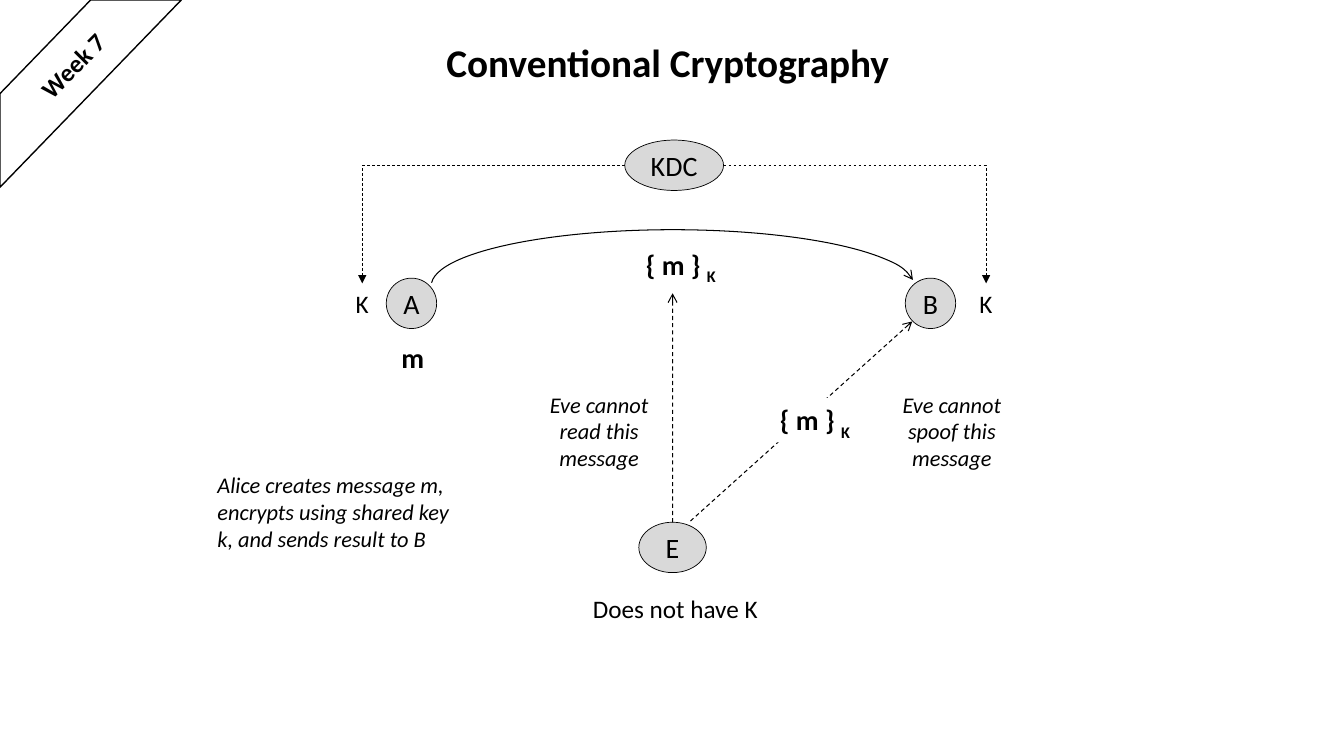
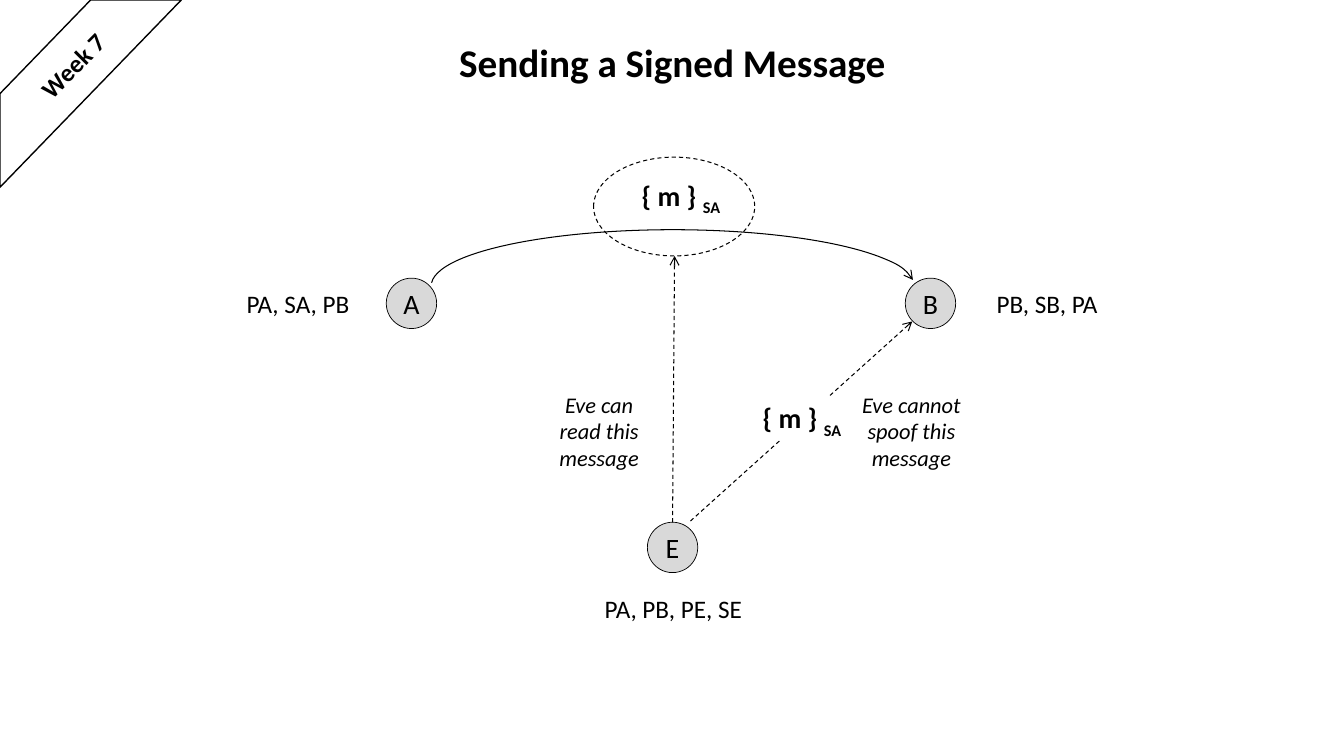
import pptx
import pptx.dml.color
import pptx.enum.dml
import pptx.enum.shapes
import pptx.enum.text
import pptx.oxml
import pptx.oxml.ns
import pptx.util

Cm, Pt = pptx.util.Cm, pptx.util.Pt
SHAPE = pptx.enum.shapes.MSO_SHAPE
CONNECTOR = pptx.enum.shapes.MSO_CONNECTOR
ALIGN = pptx.enum.text.PP_ALIGN
qn = pptx.oxml.ns.qn

FONT, INK, PAPER, NODE = "Calibri", "000000", "FFFFFF", "D9D9D9"
STYLES = {
    "key": dict(size=18, height=1.02),
    "tag": dict(size=18, height=1.02, bold=True),
    "cipher": dict(size=20, height=1.12, bold=True),
    "note": dict(size=16, height=2.31, italic=True),
}
ROW_Y, EVE_X, EVE_Y, NODE_H = 7.01, 16.95, 13.16, 1.27
ALICE_X, BOB_X = 10.37, 23.45
KDC_X, KDC_Y, KDC_W, KEY_REACH = 16.99, 3.53, 2.49, 7.86
KEY_Y, EVE_KEY_Y, NOTE_Y = 7.14, 14.83, 9.72

SLIDES = [
    dict(
        title="Conventional Cryptography ",
        eve_width=1.7,
        read_to=(16.95, 7.39),
        kdc=True,
        labels=[
            ("key", KDC_X - KEY_REACH, KEY_Y, 0.84, ["K"]),
            ("key", KDC_X + KEY_REACH, KEY_Y, 0.84, ["K"]),
            ("key", 17.02, EVE_KEY_Y, 4.72, ["Does not have K"]),
            ("cipher", 10.4, 8.46, 1.09, ["m"]),
            ("note", 15.1, NOTE_Y, 3.02, ["Eve cannot", "read this", "message"]),
            ("note", 23.99, NOTE_Y, 3.02, ["Eve cannot", "spoof this", "message"]),
        ],
        subscript="K",
        cipher_width=2.31,
        sent=(17.16, 6.12),
        spoofed=(20.54, 10.03),
        story=["Alice creates message m,", "encrypts using shared key",
               "k, and sends result to B"],
    ),
    dict(
        title="Sending a Signed Message",
        eve_width=1.27,
        read_to=(17, 6.45),
        ring=(16.99, 3.96, 4.06, 2.49),
        labels=[
            ("key", 7.51, KEY_Y, 3.18, ["PA, SA, PB"]),
            ("key", 26.39, KEY_Y, 3.15, ["PB, SB, PA"]),
            ("key", 16.97, EVE_KEY_Y, 4.06, ["PA, PB, PE, SE"]),
            ("note", 15.1, NOTE_Y, 2.54, ["Eve can", "read this", "message"]),
            ("note", 22.97, NOTE_Y, 3.02, ["Eve cannot", "spoof this", "message"]),
        ],
        subscript="SA",
        cipher_width=2.57,
        sent=(17.16, 4.37),
        spoofed=(20.21, 9.98),
    ),
]


def rgb(value):
    return pptx.dml.color.RGBColor.from_string(value)


def set_font(p, size, bold=False, italic=False):
    p.font.name, p.font.size = FONT, Pt(size)
    p.font.bold, p.font.italic = bold, italic
    p.font.color.rgb = rgb(INK)


def set_line(sp, width, dashed=False, tail=None):
    sp.line.color.rgb = rgb(INK)
    sp.line.width = Pt(width)
    if dashed:
        sp.line.dash_style = pptx.enum.dml.MSO_LINE.DASH
    if tail:
        end = pptx.oxml.parse_xml(f'<a:tailEnd {pptx.oxml.ns.nsdecls("a")} type="{tail}"/>')
        sp.line._get_or_add_ln().append(end)


def add_shape(s, kind, left, top, width, height, fill=None):
    sp = s.shapes.add_shape(kind, Cm(left), Cm(top), Cm(width), Cm(height))
    sp.shadow.inherit = False
    if fill:
        sp.fill.solid()
        sp.fill.fore_color.rgb = rgb(fill)
    else:
        sp.fill.background()
    return sp


def add_node(s, text, x, top, width=NODE_H):
    sp = add_shape(s, SHAPE.OVAL, x - width / 2, top, width, NODE_H, NODE)
    set_line(sp, 0.5)
    tf = sp.text_frame
    tf.margin_left = tf.margin_right = 0
    tf.word_wrap = False
    p = tf.paragraphs[0]
    p.text, p.alignment = text, ALIGN.CENTER
    set_font(p, 20)
    return sp


def add_label(s, style, x, top, width, lines, align=ALIGN.CENTER, wrap=False):
    look = dict(STYLES[style])
    height = look.pop("height")
    sp = s.shapes.add_textbox(Cm(x - width / 2), Cm(top), Cm(width), Cm(height))
    tf = sp.text_frame
    tf.word_wrap = wrap
    tf.auto_size = pptx.enum.text.MSO_AUTO_SIZE.SHAPE_TO_FIT_TEXT
    for i, line in enumerate(lines):
        p = tf.add_paragraph() if i else tf.paragraphs[0]
        p.text, p.alignment = line, align
        set_font(p, **look)
    return sp


def add_cipher(s, position, width, subscript, fill=None):
    sp = add_label(s, "cipher", *position, width, ["{ m } "])
    r = sp.text_frame.paragraphs[0].add_run()
    r.text = subscript
    r._r.get_or_add_rPr().set("baseline", "-25000")
    if fill:
        sp.fill.solid()
        sp.fill.fore_color.rgb = rgb(fill)


def add_arrow(s, start, end, width=0.75, tail="arrow", bent=False):
    kind = CONNECTOR.ELBOW if bent else CONNECTOR.STRAIGHT
    cx = s.shapes.add_connector(kind, *map(Cm, start + end))
    if bent:
        cx.element.spPr.find(qn("a:prstGeom")).set("prst", "bentConnector2")
    set_line(cx, width, True, tail)
    cx.element.spPr.append(pptx.oxml.parse_xml(f'<a:effectLst {pptx.oxml.ns.nsdecls("a")}/>'))
    return cx


def add_frame(s, title):
    sp = s.shapes.title
    sp.left, sp.top, sp.width, sp.height = Cm(5.51), Cm(0.05), Cm(22.86), Cm(3.18)
    sp.text_frame.vertical_anchor = pptx.enum.text.MSO_ANCHOR.MIDDLE
    p = sp.text_frame.paragraphs[0]
    p.text, p.alignment, p.line_spacing = title, ALIGN.CENTER, 0.9
    set_font(p, 28, bold=True)
    set_line(add_shape(s, SHAPE.DIAGONAL_STRIPE, 0, 0, 4.57, 4.72, PAPER), 1)
    add_label(s, "tag", 1.83, 1.14, 2.49, ["Week 7"]).rotation = 314.8


def add_kdc(s):
    add_node(s, "KDC", KDC_X, KDC_Y, KDC_W)
    y = KDC_Y + NODE_H / 2
    for side in (-1, 1):
        add_arrow(s, (KDC_X + side * KDC_W / 2, y), (KDC_X + side * KEY_REACH, KEY_Y),
                  0.5, "triangle", bent=True)


def build_slide(prs, content):
    s = prs.slides.add_slide(prs.slide_layouts[5])
    add_frame(s, content["title"])
    add_node(s, "A", ALICE_X, ROW_Y)
    add_node(s, "B", BOB_X, ROW_Y)
    eve = add_node(s, "E", EVE_X, EVE_Y, content["eve_width"])
    arc = add_shape(s, SHAPE.ARC, 10.87, 5.79, 12.17, 2.82)
    arc.adjustments[0], arc.adjustments[1] = 108.42, 215.18
    set_line(arc, 0.75, tail="arrow")
    if content.get("kdc"):
        add_kdc(s)
    if "ring" in content:
        x, top, width, height = content["ring"]
        set_line(add_shape(s, SHAPE.OVAL, x - width / 2, top, width, height), 0.75, True)
    add_arrow(s, (EVE_X, EVE_Y), content["read_to"]).begin_connect(eve, 0)
    add_arrow(s, (17.4, 13.13), (22.99, 8.1))
    width, subscript = content["cipher_width"], content["subscript"]
    add_cipher(s, content["sent"], width, subscript)
    add_cipher(s, content["spoofed"], width, subscript, PAPER)
    for label in content["labels"]:
        add_label(s, *label)
    if "story" in content:
        add_label(s, "note", 13.7, 11.76, 16.94, content["story"], ALIGN.LEFT, True)


def main():
    prs = pptx.Presentation()
    prs.slide_width, prs.slide_height = Cm(33.87), Cm(19.05)
    for content in SLIDES:
        build_slide(prs, content)
    prs.save("out.pptx")


if __name__ == "__main__":
    main()
